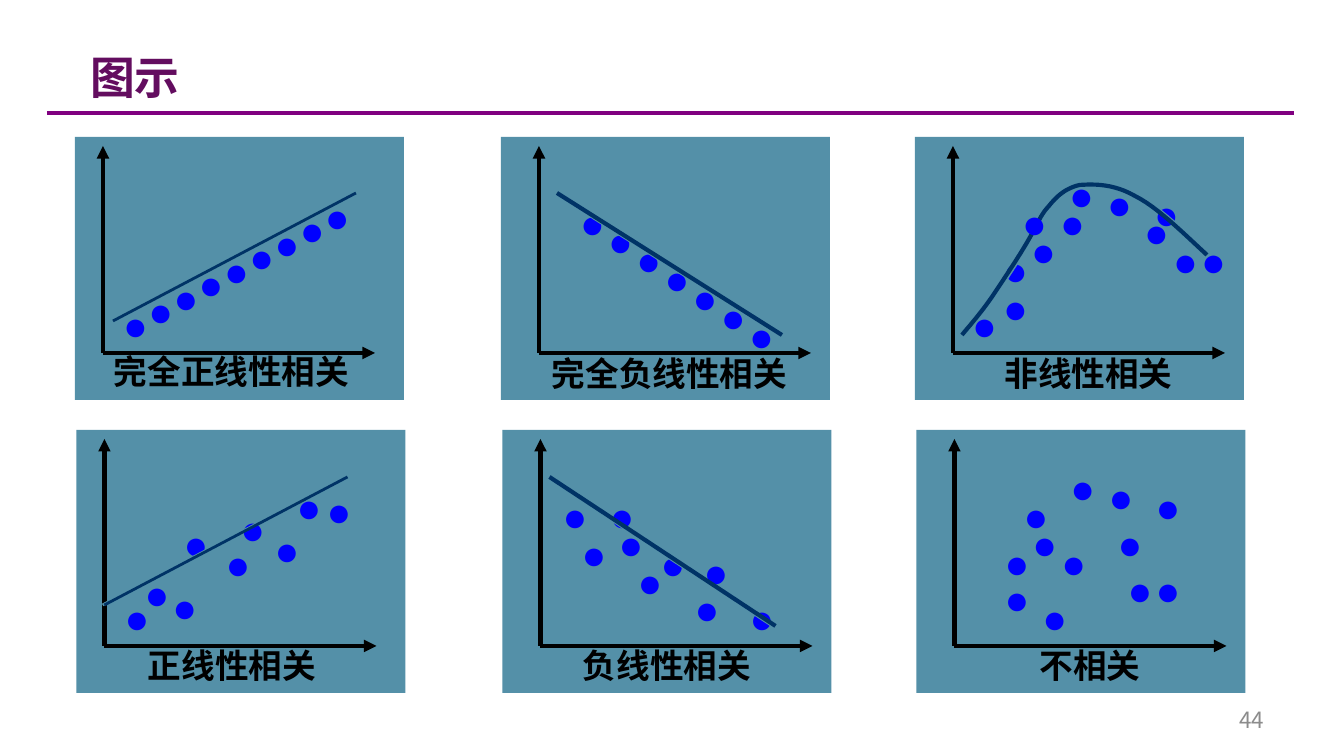
from lxml import etree
from pptx import Presentation
from pptx.dml.color import RGBColor
from pptx.enum.shapes import MSO_CONNECTOR, MSO_SHAPE
from pptx.enum.text import MSO_ANCHOR, MSO_AUTO_SIZE, PP_ALIGN
from pptx.oxml.ns import qn
from pptx.util import Emu, Pt

RECTANGLE, STRAIGHT = MSO_SHAPE.RECTANGLE, MSO_CONNECTOR.STRAIGHT
LEFT, CENTER, RIGHT = PP_ALIGN.LEFT, PP_ALIGN.CENTER, PP_ALIGN.RIGHT
TOP, MIDDLE = MSO_ANCHOR.TOP, MSO_ANCHOR.MIDDLE
PX = 914400 / 134.4

CJK = "Noto Sans CJK SC"
THEME = {
    "rule": "800080", "panel": "5490A8", "axis": "000000", "trend": "003366",
    "thin": 1.5, "thick": 2.25,
    "title": {"name": CJK, "size": 24, "color": "630D5F", "bold": True},
    "label": {"name": "Calibri", "size": 18, "color": "000000", "bold": True},
    "dot": {"name": "Times New Roman", "size": 22, "color": "0000FF"},
    "number": {"name": CJK, "size": 12, "color": "8C8C8C"},
}

PANEL_W, PANEL_H = 329, 263
COLUMNS = (75, 501, 915)
ROWS = (137, 430)
ROW_SHIFT = 1.5
AXIS_TOP, AXIS_BASE, AXIS_LENGTH = 9, 216, 272
AXIS_LEFT = (28, 38, 38)
DOT_W, DOT_H, DOT_INSET = 50, 52, 13


def evenly(start, end, count):
    """Points at equal steps from start to end."""
    return [tuple(a + (b - a) * i / (count - 1) for a, b in zip(start, end))
            for i in range(count)]


# All places inside a panel are measured from its top left corner.
PANELS = [
    {"label": "完全正线性相关", "label_at": (20, 214, 273, 54),
     "dots": evenly((35, 149), (237, 41), 9),
     "trend": ((38, 184), (281, 56)), "weight": "thin"},
    {"label": "完全负线性相关", "label_at": (32, 216, 273, 54),
     "dots": evenly((66, 47), (235, 160), 7),
     "trend": ((56, 56), (281, 198)), "weight": "thick"},
    {"label": "非线性相关", "label_at": (56, 216, 235, 46),
     "dots": [(44, 149), (245, 85), (179, 28), (226, 38), (141, 19), (132, 47),
              (103, 75), (75, 132), (75, 94)],
     "curve": [(47, 198), (58, 185), (69, 172), (79, 157), (89, 142), (101, 124),
               (110, 109), (120, 93), (125, 78), (134, 69), (142, 59), (151, 51),
               (165, 48), (180, 47), (199, 47), (220, 59), (242, 70), (266, 94),
               (292, 118)],
     "front_dots": [(216, 56), (273, 85), (94, 47)]},
    {"label": "正线性相关", "label_at": (38, 215, 235, 46),
     "dots": [(35, 149), (237, 42), (185, 81), (207, 38), (151, 60), (136, 95),
              (94, 75), (55, 125), (83, 138)],
     "trend": ((28, 175), (271, 47)), "weight": "thin"},
    {"label": "负线性相关", "label_at": (47, 215, 235, 46),
     "dots": [(179, 140), (234, 149), (122, 113), (188, 103), (66, 85), (145, 95),
              (103, 75), (47, 47), (94, 47)],
     "trend": ((47, 47), (273, 196)), "weight": "thick"},
    {"label": "不相关", "label_at": (56, 215, 235, 46),
     "dots": [(113, 149), (198, 121), (179, 28), (226, 38), (141, 19), (132, 94),
              (103, 75), (75, 130), (75, 94), (188, 75), (226, 121), (94, 47)]},
]


def px(*lengths):
    return [Emu(round(length * PX)) for length in lengths]


def write(box, text, style, align=LEFT, anchor=TOP, insets=(0, 0, 0, 0), spacing=None):
    frame = box.text_frame
    left, top, right, bottom = px(*insets)
    settings = {"word_wrap": True, "auto_size": MSO_AUTO_SIZE.NONE,
                "vertical_anchor": anchor, "margin_left": left, "margin_top": top,
                "margin_right": right, "margin_bottom": bottom}
    for name, value in settings.items():
        setattr(frame, name, value)
    para = frame.paragraphs[0]
    para.alignment, para.line_spacing = align, spacing
    span = para.add_run()
    span.text = text
    font = THEME[style]
    formats = {"name": font["name"], "size": Pt(font["size"]),
               "bold": font.get("bold", False)}
    for name, value in formats.items():
        setattr(span.font, name, value)
    span.font.color.rgb = RGBColor.from_string(font["color"])
    latin = span.font._element.find(qn("a:latin"))
    east_asian = etree.Element(qn("a:ea"), typeface=CJK)
    latin.addnext(east_asian)


def style_line(shape, color, weight, shadow=None, arrow=False):
    """Set the stroke; shadow is (distance in points, direction in degrees)."""
    shape.line.color.rgb = RGBColor.from_string(THEME[color])
    shape.line.width = Pt(THEME[weight])
    properties = shape._element.spPr
    if arrow:
        etree.SubElement(properties.find(qn("a:ln")), qn("a:tailEnd"), type="triangle")
    for old in properties.findall(qn("a:effectLst")):
        properties.remove(old)
    effects = etree.SubElement(properties, qn("a:effectLst"))
    if shadow:
        distance, direction = shadow
        outer = etree.SubElement(effects, qn("a:outerShdw"), dist=str(Pt(distance)),
                                 dir=str(direction * 60000), algn="ctr",
                                 rotWithShape="0")
        etree.SubElement(outer, qn("a:srgbClr"), val=THEME["panel"])


def add_line(page, start, end, *style, **options):
    line = page.shapes.add_connector(STRAIGHT, *px(*start, *end))
    style_line(line, *style, **options)


def add_dots(page, left, top, dots):
    for x, y in dots:
        box = page.shapes.add_textbox(*px(left + x, top + y, DOT_W, DOT_H))
        write(box, "●", "dot", insets=(DOT_INSET, DOT_INSET, 0, 0))


def sample_bezier(points, steps=12):
    """Points along a chain of cubic Bezier pieces."""
    sampled = [points[0]]
    for first in range(0, len(points) - 1, 3):
        piece = points[first:first + 4]
        for step in range(1, steps + 1):
            t = step / steps
            weights = ((1 - t) ** 3, 3 * t * (1 - t) ** 2, 3 * t * t * (1 - t), t ** 3)
            sampled.append(tuple(sum(w * p[axis] for w, p in zip(weights, piece))
                                 for axis in (0, 1)))
    return sampled


def add_curve(page, left, top, points):
    first, *rest = [px(left + x, top + y) for x, y in sample_bezier(points)]
    builder = page.shapes.build_freeform(*first)
    builder.add_line_segments(rest, close=False)
    curve = builder.convert_to_shape()
    curve.fill.background()
    style_line(curve, "trend", "thick", shadow=(1, 0))


def add_panel(page, index, panel):
    row, column = divmod(index, len(COLUMNS))
    left, top = COLUMNS[column] + row * ROW_SHIFT, ROWS[row]
    back = page.shapes.add_shape(RECTANGLE, *px(left, top, PANEL_W, PANEL_H))
    back.shadow.inherit = False
    back.fill.solid()
    back.fill.fore_color.rgb = RGBColor.from_string(THEME["panel"])
    back.line.fill.background()

    axis_x, base = left + AXIS_LEFT[column], top + AXIS_BASE
    for tip in ((axis_x, top + AXIS_TOP), (axis_x + AXIS_LENGTH, base)):
        add_line(page, (axis_x, base), tip, "axis", "thick", shadow=(1.4, 45), arrow=True)

    add_dots(page, left, top, panel["dots"])
    if "trend" in panel:
        start, end = [(left + x, top + y) for x, y in panel["trend"]]
        add_line(page, start, end, "trend", panel["weight"], shadow=(1, 180))
    if "curve" in panel:
        add_curve(page, left, top, panel["curve"])
        add_dots(page, left, top, panel["front_dots"])

    x, y, width, height = panel["label_at"]
    label = page.shapes.add_textbox(*px(left + x, top + y, width, height))
    write(label, panel["label"], "label", align=CENTER)


def main():
    deck = Presentation()
    deck.slide_width, deck.slide_height = px(1344, 756)
    page = deck.slides.add_slide(deck.slide_layouts[5])
    title = page.shapes.title
    title.left, title.top, title.width, title.height = px(77, 23, 239, 81)
    write(title, "图示", "title", anchor=MIDDLE, insets=(13, 7, 13, 7), spacing=1.5)
    add_line(page, (47, 113), (1294, 113), "rule", "thick")
    for index, panel in enumerate(PANELS):
        add_panel(page, index, panel)
    number = page.shapes.add_textbox(*px(964, 700, 313, 40))
    write(number, "44", "number", align=RIGHT, anchor=MIDDLE, insets=(13, 7, 13, 7))
    deck.save("out.pptx")


if __name__ == "__main__":
    main()
